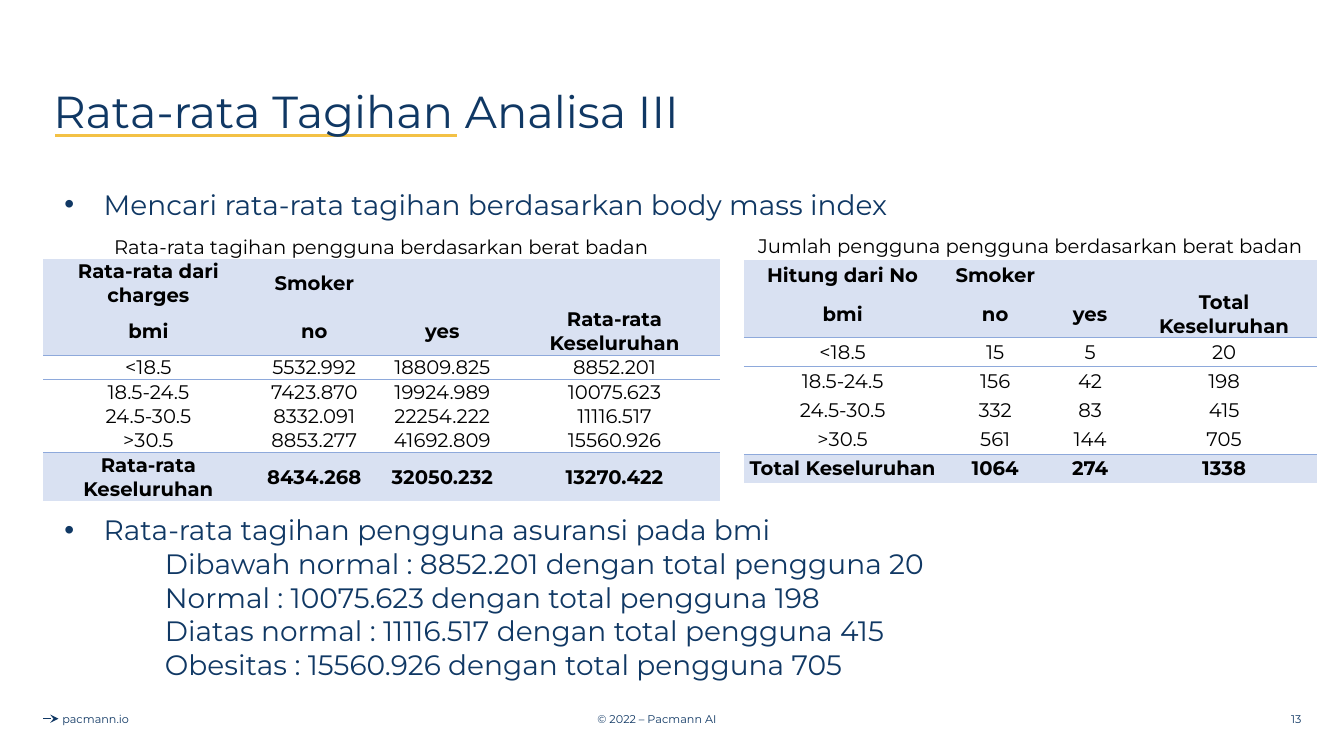
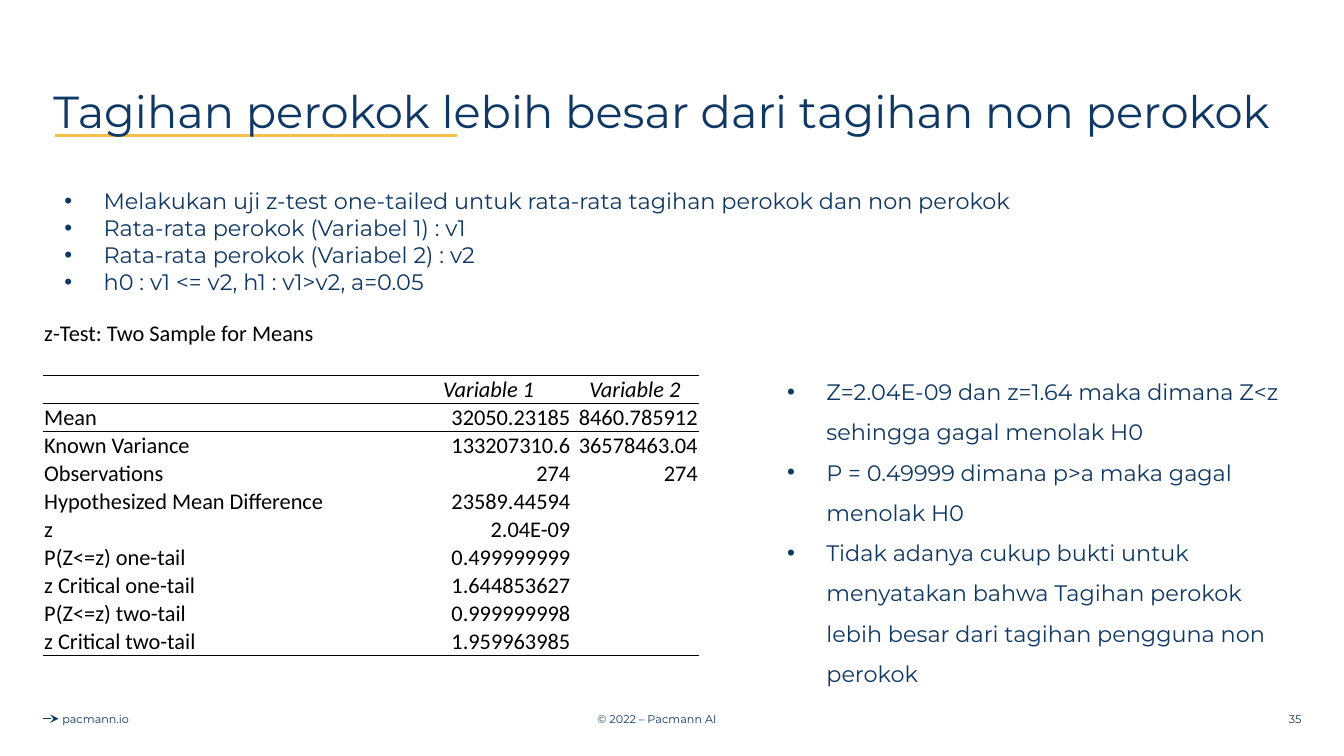
from lxml import etree
from pptx import Presentation
from pptx.dml.color import RGBColor
from pptx.enum.shapes import MSO_CONNECTOR
from pptx.enum.text import MSO_ANCHOR, PP_ALIGN
from pptx.oxml.ns import qn
from pptx.util import Pt

LEFT, CENTER, RIGHT = PP_ALIGN.LEFT, PP_ALIGN.CENTER, PP_ALIGN.RIGHT
TOP, MIDDLE, BOTTOM = MSO_ANCHOR.TOP, MSO_ANCHOR.MIDDLE, MSO_ANCHOR.BOTTOM
STRAIGHT = MSO_CONNECTOR.STRAIGHT

COLORS = {"navy": "103864", "gold": "F3C145", "black": "000000",
          "band": "D9E1F2", "rule": "8EA9DB"}
SANS, SHEET = "Montserrat", "Calibri"
NO_STYLE = "{2D5ABB26-0587-4C30-8999-92F81FD0307C}"

# Formats shared by the slides
TITLE = {"size": Pt(32), "name": SANS}
FOOTER = {"size": Pt(8), "name": SANS}
BODY = {"size": Pt(20), "name": SANS}
SMALL_BODY = {"size": Pt(16), "name": SANS}
PIVOT = {"size": Pt(14), "name": SANS}
ZTEST = {"size": Pt(16), "name": SHEET}

PIVOT_BANDS, PIVOT_RULES = (1, 2, 7), {2: ("rule", 0.5), 6: ("rule", 0.5)}
BMI = ["<18.5", "18.5-24.5", "24.5-30.5", ">30.5"]


def rgb(name):
    return RGBColor.from_string(COLORS[name])


def sub(parent, tag, **attrs):
    return etree.SubElement(parent, qn(tag), attrs)


def add_run(p, text, fmt, color="navy"):
    r = p.add_run()
    r.text = text
    for key, value in fmt.items():
        setattr(r.font, key, value)
    r.font.color.rgb = rgb(color)


def add_text(s, box, paragraphs, fmt, align=LEFT, anchor=TOP, spacing=None):
    """Each paragraph is (text, left margin, has bullet)."""
    tf = s.shapes.add_textbox(*map(Pt, box)).text_frame
    tf.word_wrap = True
    tf.vertical_anchor = anchor
    for i, (text, margin, bullet) in enumerate(paragraphs):
        p = tf.add_paragraph() if i else tf.paragraphs[0]
        pPr = p._p.get_or_add_pPr()
        pPr.set("marL", str(Pt(margin)))
        if bullet:
            pPr.set("indent", str(Pt(-28)))
            sub(sub(pPr, "a:buClr"), "a:srgbClr", val=COLORS["navy"])
            sub(pPr, "a:buFont", typeface="Arial")
            sub(pPr, "a:buChar", char="•")
        p.alignment = align
        if spacing:
            p.line_spacing = spacing
        add_run(p, text, fmt)


def add_bullets(s, box, items, fmt, spacing=None):
    add_text(s, box, [(text, 36, True) for text in items], fmt, spacing=spacing)


def add_line(s, x1, x2, y, color, width, arrow=False):
    line = s.shapes.add_connector(STRAIGHT, Pt(x1), Pt(y), Pt(x2), Pt(y))
    line.line.color.rgb = rgb(color)
    line.line.width = Pt(width)
    if arrow:
        sub(line.line._get_or_add_ln(), "a:tailEnd", type="stealth")
    sub(line._element.spPr, "a:effectLst")


def add_frame(prs, title, number):
    """Title, underline and footer of every slide."""
    s = prs.slides.add_slide(prs.slide_layouts[6])
    add_line(s, 39.6, 326.2, 96.5, "gold", 2.25)
    add_text(s, (31, 29, 898, 104.4), [(title, 0, False)], TITLE,
             anchor=MIDDLE, spacing=0.9)
    add_line(s, 31, 41.8, 513.4, "navy", 0.75, arrow=True)
    for x, w, text, align in [(32.4, 72, "pacmann.io", CENTER),
                              (307.4, 324, "© 2022 – Pacmann AI", CENTER),
                              (720.7, 216, number, RIGHT)]:
        add_text(s, (x, 499, w, 28.8), [(text, 0, False)], FOOTER,
                 align=align, anchor=MIDDLE)
    return s


def add_border(cell, tag, color, width):
    ln = etree.Element(qn(tag), w=str(Pt(width)))
    sub(sub(ln, "a:solidFill"), "a:srgbClr", val=COLORS[color])
    cell._tc.get_or_add_tcPr().insert(0, ln)


def add_table(s, x, y, widths, heights, rows, fmt, anchor, align,
              rules, bands=(), extra=None):
    """rules: lines under rows; align(row, col); extra: formats by row."""
    shape = s.shapes.add_table(len(rows), len(widths), Pt(x), Pt(y),
                               Pt(sum(widths)), Pt(sum(heights)))
    table = shape.table
    table.first_row = table.horz_banding = False
    table._tbl.tblPr.find(qn("a:tableStyleId")).text = NO_STYLE
    for col, width in zip(table.columns, widths):
        col.width = Pt(width)
    for i, (values, height) in enumerate(zip(rows, heights)):
        table.rows[i].height = Pt(height)
        row_fmt = {**fmt, **(extra or {}).get(i, {})}
        for j in range(len(widths)):
            cell = table.cell(i, j)
            cell.margin_left = cell.margin_right = cell.margin_top = Pt(0.6)
            cell.margin_bottom = 0
            cell.vertical_anchor = anchor
            if i in bands:
                cell.fill.solid()
                cell.fill.fore_color.rgb = rgb("band")
            else:
                cell.fill.background()
            if i in rules:
                add_border(cell, "a:lnB", *rules[i])
            if i - 1 in rules:
                add_border(cell, "a:lnT", *rules[i - 1])
            p = cell.text_frame.paragraphs[0]
            if j < len(values) and values[j]:
                p.alignment = align(i, j)
                add_run(p, values[j], row_fmt, "black")
            else:
                # Keeps an empty cell from stretching its row
                sub(p._p, "a:endParaRPr", sz=str(int(fmt["size"].pt * 100)))
    return table


def add_pivot(s, x, y, widths, heights, caption, corner, total, columns):
    """Smoker by bmi; columns hold no, yes and total, last value the total."""
    body = list(zip(BMI + [total], *columns))
    rows = [[caption], [corner, "Smoker"], ["bmi", "no", "yes", total], *body]
    table = add_table(s, x, y, widths, heights, rows, PIVOT, MIDDLE,
                      lambda i, j: CENTER, PIVOT_RULES, PIVOT_BANDS,
                      {i: {"bold": True} for i in PIVOT_BANDS})
    table.cell(0, 0).merge(table.cell(0, len(widths) - 1))


def build_bmi_slide(prs):
    s = add_frame(prs, "Rata-rata Tagihan Analisa III", "13")
    add_bullets(s, (31, 130.3, 897, 31.7),
                ["Mencari rata-rata tagihan berdasarkan body mass index"], BODY)

    # Conclusions
    details = ["Dibawah normal : 8852.201 dengan total pengguna 20",
               "Normal : 10075.623 dengan total pengguna 198",
               "Diatas normal : 11116.517 dengan total pengguna 415",
               "Obesitas : 15560.926 dengan total pengguna 705"]
    add_text(s, (31, 362.9, 897, 130),
             [("Rata-rata tagihan pengguna asuransi pada bmi", 36, True)]
             + [(text, 79.7, False) for text in details], BODY)

    # Average charges and user counts
    single, double = 17.4, 34.4
    add_pivot(s, 31, 167.3, [150, 87, 96, 150],
              [single, double, double] + [single] * 4 + [double],
              "Rata-rata tagihan pengguna berdasarkan berat badan",
              "Rata-rata dari charges", "Rata-rata Keseluruhan",
              [["5532.992", "7423.870", "8332.091", "8853.277", "8434.268"],
               ["18809.825", "19924.989", "22254.222", "41692.809", "32050.232"],
               ["8852.201", "10075.623", "11116.517", "15560.926", "13270.422"]])
    single = 20.8
    add_pivot(s, 531.4, 165.2, [141, 77, 58.5, 133],
              [single, single, double] + [single] * 5,
              "Jumlah pengguna pengguna berdasarkan berat badan",
              "Hitung dari No", "Total Keseluruhan",
              [["15", "156", "332", "561", "1064"],
               ["5", "42", "83", "144", "274"],
               ["20", "198", "415", "705", "1338"]])


def align_ztest(i, j):
    if j == 0:
        return LEFT
    return CENTER if i == 2 else RIGHT


def build_ztest_slide(prs):
    s = add_frame(prs, "Tagihan perokok lebih besar dari tagihan non perokok", "35")
    add_bullets(s, (31, 130.3, 908, 85),
                ["Melakukan uji z-test one-tailed untuk rata-rata tagihan "
                 "perokok dan non perokok",
                 "Rata-rata perokok (Variabel 1) : v1",
                 "Rata-rata perokok (Variabel 2) : v2",
                 "h0 : v1 <= v2, h1 : v1>v2, a=0.05"], SMALL_BODY)

    # Test results
    rows = [["z-Test: Two Sample for Means"],
            [],
            ["", "Variable 1", "Variable 2"],
            ["Mean", "32050.23185", "8460.785912"],
            ["Known Variance", "133207310.6", "36578463.04"],
            ["Observations", "274", "274"],
            ["Hypothesized Mean Difference", "23589.44594"],
            ["z", "2.04E-09"],
            ["P(Z<=z) one-tail", "0.499999999"],
            ["z Critical one-tail", "1.644853627"],
            ["P(Z<=z) two-tail", "0.999999998"],
            ["z Critical two-tail", "1.959963985"]]
    add_table(s, 31, 228.2, [259, 118, 91], [20] * len(rows), rows, ZTEST,
              BOTTOM, align_ztest,
              {1: ("black", 1), 2: ("black", 0.5), 11: ("black", 1)},
              extra={2: {"italic": True}})

    # Conclusions
    add_bullets(s, (547.2, 257, 381, 240),
                ["Z=2.04E-09 dan z=1.64 maka dimana Z<z sehingga gagal menolak H0",
                 "P = 0.49999 dimana p>a maka gagal menolak H0",
                 "Tidak adanya cukup bukti untuk menyatakan bahwa Tagihan perokok "
                 "lebih besar dari tagihan pengguna non perokok"],
                SMALL_BODY, spacing=1.5)


def main():
    prs = Presentation()
    prs.slide_width, prs.slide_height = Pt(960), Pt(540)
    build_bmi_slide(prs)
    build_ztest_slide(prs)
    prs.save("out.pptx")


if __name__ == "__main__":
    main()
